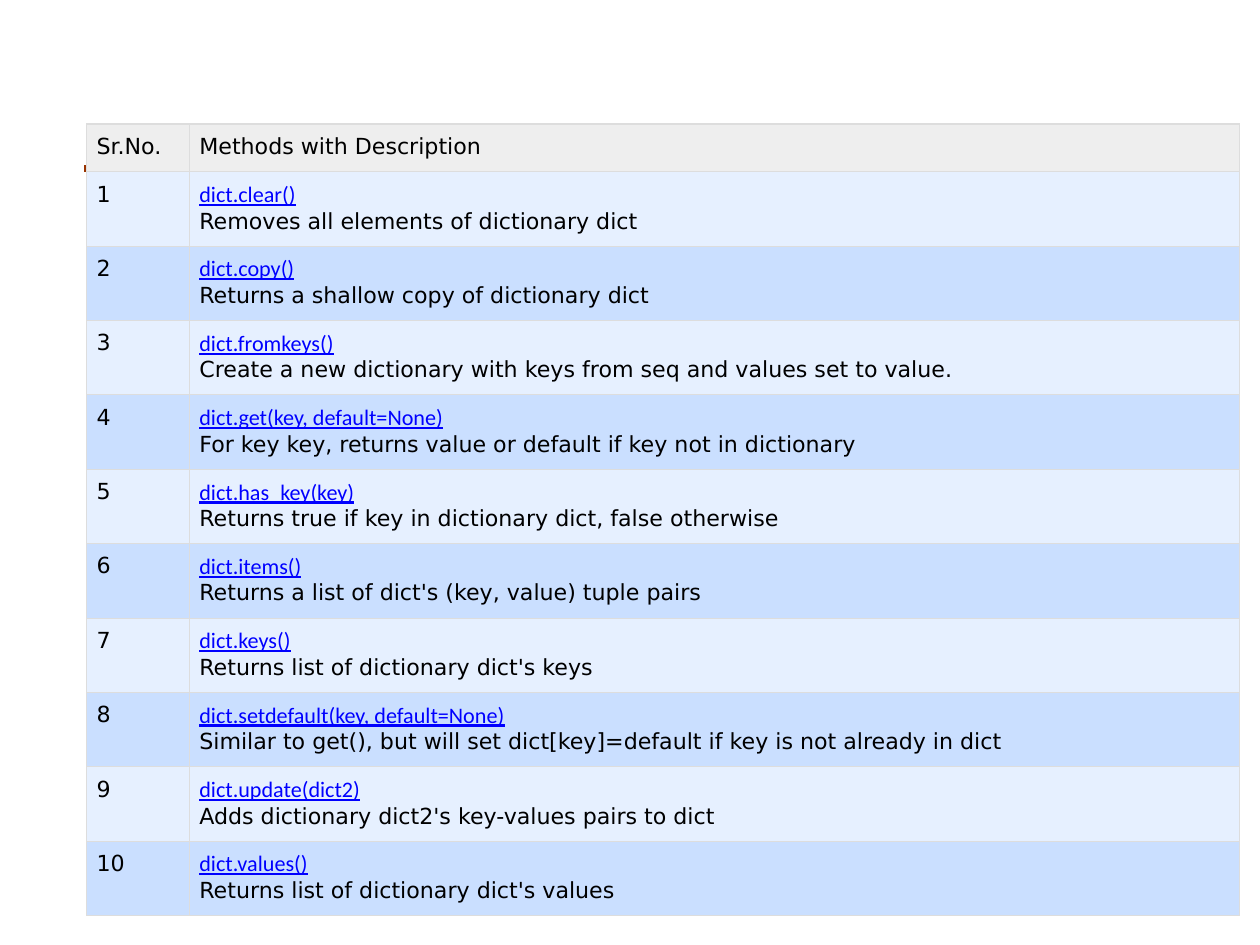
import pptx
import pptx.dml.color
import pptx.enum.shapes
import pptx.oxml
import pptx.oxml.ns
import pptx.util
from pptx.util import Inches

# Content
HEADER = ("Sr.No.", "Methods with Description")
METHODS = [
    ("dict.clear()", "Removes all elements of dictionary dict"),
    ("dict.copy()", "Returns a shallow copy of dictionary dict"),
    ("dict.fromkeys()", "Create a new dictionary with keys from seq and values set to value."),
    ("dict.get(key, default=None)", "For key key, returns value or default if key not in dictionary"),
    ("dict.has_key(key)", "Returns true if key in dictionary dict, false otherwise"),
    ("dict.items()", "Returns a list of dict's (key, value) tuple pairs"),
    ("dict.keys()", "Returns list of dictionary dict's keys"),
    ("dict.setdefault(key, default=None)",
     "Similar to get(), but will set dict[key]=default if key is not already in dict"),
    ("dict.update(dict2)", "Adds dictionary dict2's key-values pairs to dict"),
    ("dict.values()", "Returns list of dictionary dict's values"),
]

# Layout and colours
LEFT, TOP = 0.98, 1.4
COL_WIDTHS = (1.16, 11.85)
HEADER_HEIGHT, ROW_HEIGHT = 0.54, 0.84
MARGIN = 0.11
HEADER_FILL, BAND_FILLS = "EEEEEE", ("E6F0FF", "CADFFF")
BORDER, RULE, TEXT, METHOD = "DDDDDD", "993300", "000000", "0000FF"


def rgb(color):
    return pptx.dml.color.RGBColor.from_string(color)


def set_borders(cell, color):
    tc_pr = cell._tc.get_or_add_tcPr()
    for i, side in enumerate(("lnL", "lnR", "lnT", "lnB")):
        tc_pr.insert(i, pptx.oxml.parse_xml(
            f'<a:{side} {pptx.oxml.ns.nsdecls("a")} w="12700"><a:solidFill>'
            f'<a:srgbClr val="{color}"/></a:solidFill></a:{side}>'))


def fill_cell(cell, lines, fill):
    """Each line is (text, font name, colour, underlined)."""
    cell.margin_left = cell.margin_right = Inches(MARGIN)
    cell.margin_top = cell.margin_bottom = Inches(MARGIN)
    cell.fill.solid()
    cell.fill.fore_color.rgb = rgb(fill)
    set_borders(cell, BORDER)
    tf = cell.text_frame
    for i, (text, font, color, underlined) in enumerate(lines):
        p = tf.add_paragraph() if i else tf.paragraphs[0]
        r = p.add_run()
        r.text = text
        r.font.name = font
        r.font.size = pptx.util.Pt(18)
        r.font.color.rgb = rgb(color)
        r.font.underline = underlined


def plain(text):
    return (text, "DejaVu Sans", TEXT, False)


prs = pptx.Presentation()
prs.slide_width, prs.slide_height = Inches(14.22), Inches(10.67)
s = prs.slides.add_slide(prs.slide_layouts[6])

# Title rule behind the table
rule = s.shapes.add_connector(pptx.enum.shapes.MSO_CONNECTOR.STRAIGHT,
                              Inches(0.95), Inches(1.9), Inches(13.63), Inches(1.9))
rule.line.color.rgb = rgb(RULE)
rule.line.width = pptx.util.Pt(6)
rule._element.spPr.append(
    pptx.oxml.parse_xml(f'<a:effectLst {pptx.oxml.ns.nsdecls("a")}/>'))

# Table of methods
heights = [HEADER_HEIGHT] + [ROW_HEIGHT] * len(METHODS)
table = s.shapes.add_table(len(heights), len(COL_WIDTHS), Inches(LEFT), Inches(TOP),
                           Inches(sum(COL_WIDTHS)), Inches(sum(heights))).table
for column, width in zip(table.columns, COL_WIDTHS):
    column.width = Inches(width)
for row, height in zip(table.rows, heights):
    row.height = Inches(height)

for col, text in enumerate(HEADER):
    fill_cell(table.cell(0, col), [plain(text)], HEADER_FILL)
for n, (method, description) in enumerate(METHODS, 1):
    fill = BAND_FILLS[(n - 1) % 2]
    fill_cell(table.cell(n, 0), [plain(str(n))], fill)
    fill_cell(table.cell(n, 1),
              [(method, "Calibri", METHOD, True), plain(description)], fill)
# Header text is regular weight
table.first_row = False

prs.save("out.pptx")
